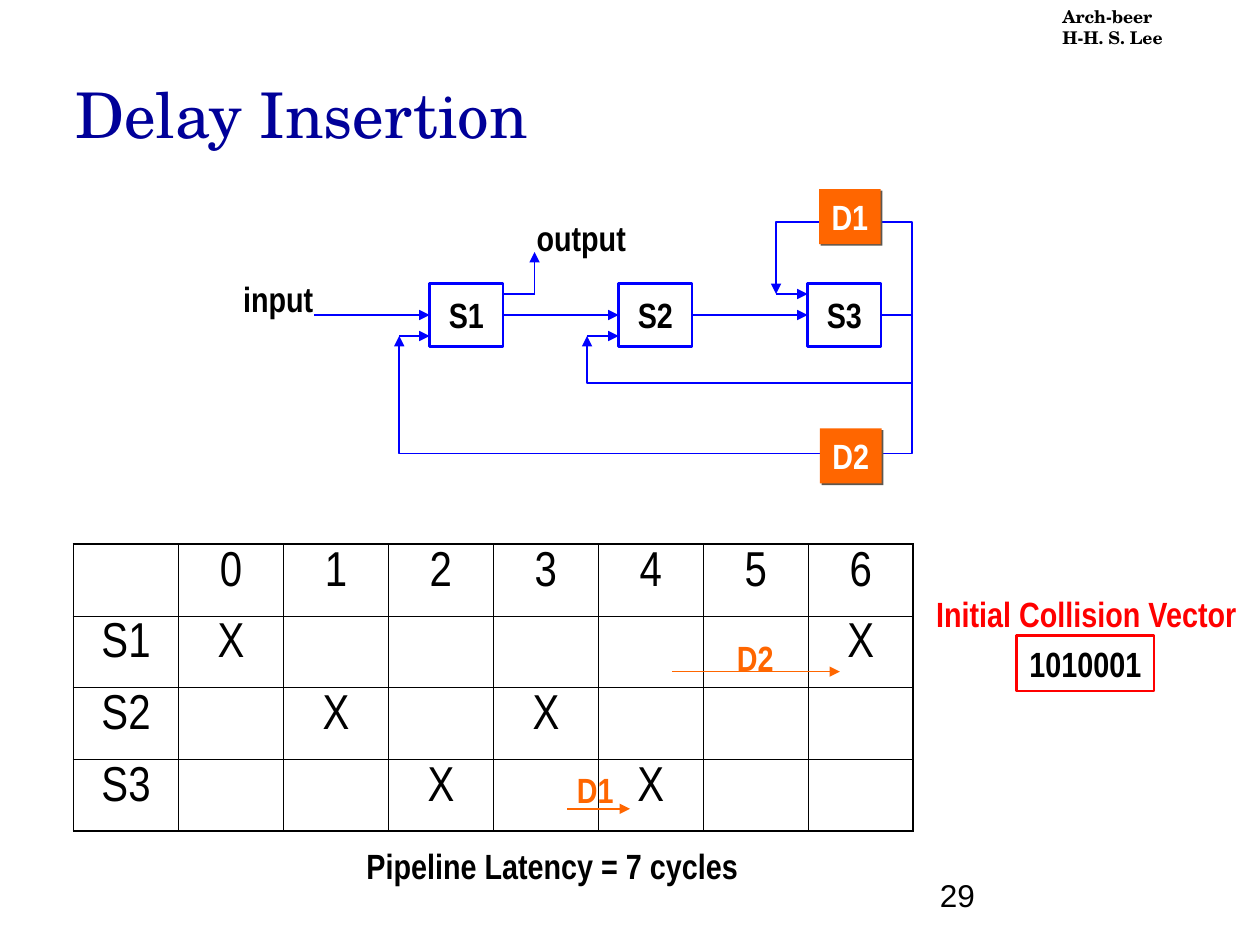
from lxml import etree
from pptx import Presentation
from pptx import util as u
from pptx.dml.color import RGBColor
from pptx.enum import shapes, text
from pptx.oxml.ns import qn

Pt = u.Pt
THEME = {
    "black": "000000", "white": "FFFFFF", "navy": "000099", "blue": "0000FF",
    "orange": "FF6600", "red": "FF0000", "shadow": "5E574E",
    "serif": "TeX Gyre Schola", "narrow": "Arial Narrow", "sans": "Arial",
    "header": 10, "title": 36, "cell": 28, "label": 20, "page": 18,
    "wire": 1, "outline": 1.5, "grid": 0.45, "frame": 1.08,
}
STAGES = ["S1", "S2", "S3"]
DELAYS = [("D1", 468, 108), ("D2", 468.5, 244.8)]
RESERVATIONS = [
    ["", "0", "1", "2", "3", "4", "5", "6"],
    ["S1", "X", "", "", "", "", "", "X"],
    ["S2", "", "X", "", "X", "", "", ""],
    ["S3", "", "", "X", "", "X", "", ""],
]
LABELS = [
    ("input", 131.8, 154.8, 54.7, "black"),
    ("output", 299.5, 120.2, 65.5, "black"),
    ("D1", 322.6, 435.6, 35.3, "orange"),
    ("D2", 414, 360, 35.3, "orange"),
    ("Pipeline Latency = 7 cycles", 202.3, 478.8, 231.1, "black"),
    ("Initial Collision Vector", 527.8, 334.8, 186.5, "red"),
]
DELAY_ARROWS = [(324, 462.2, 360), (384, 383.8, 480)]

STAGE_X, STAGE_Y, STAGE_W, STAGE_H, STAGE_STEP = 245.5, 162, 42, 36, 108
MID = STAGE_Y + STAGE_H / 2
UPPER, LOWER = MID - 12, MID + 12
BUS_X = 521.3
LABEL_H = 31.5
FEEDBACKS = [(0, 17.3, LOWER, 259.2), (1, 18, LOWER, 219), (2, 18, UPPER, 126.7)]


def rgb(name):
    return RGBColor.from_string(THEME[name])


def style(p, size, color, font="narrow", bold=True, align=None):
    p.alignment = align
    p.font.size = Pt(THEME[size])
    p.font.name = THEME[font]
    p.font.bold = bold
    p.font.color.rgb = rgb(color)


def add_text(slide, lines, box, size, color, font="narrow", bold=True,
             wrap=False, anchor=text.MSO_ANCHOR.TOP):
    tf = slide.shapes.add_textbox(*map(Pt, box)).text_frame
    tf.word_wrap = wrap
    tf.vertical_anchor = anchor
    tf.text = lines
    for p in tf.paragraphs:
        style(p, size, color, font, bold)


def add_box(slide, label, box, color, fill=None, line=None):
    sp = slide.shapes.add_shape(shapes.MSO_SHAPE.RECTANGLE, *map(Pt, box))
    sp.shadow.inherit = False
    if fill:
        sp.fill.solid()
        sp.fill.fore_color.rgb = rgb(fill)
    else:
        sp.fill.background()
    if line:
        sp.line.color.rgb = rgb(line)
        sp.line.width = Pt(THEME["outline"])
    else:
        sp.line.fill.background()
    tf = sp.text_frame
    tf.word_wrap = False
    tf.vertical_anchor = text.MSO_ANCHOR.MIDDLE
    tf.text = label
    style(tf.paragraphs[0], "label", color, align=text.PP_ALIGN.CENTER)
    return sp


def add_delay(slide, label, x, y):
    sp = add_box(slide, label, (x, y, 35.3, LABEL_H), "white", fill="orange")
    effects = sp._element.spPr.find(qn("a:effectLst"))
    shadow = etree.SubElement(effects, qn("a:outerShdw"), blurRad="0",
                              dist=str(Pt(1.4)), dir="2700000", algn="ctr", rotWithShape="0")
    etree.SubElement(shadow, qn("a:srgbClr"), val=THEME["shadow"])


def add_wire(slide, start, end, color="blue", arrow=True, kind=shapes.MSO_CONNECTOR.STRAIGHT):
    cn = slide.shapes.add_connector(kind, *map(Pt, start + end))
    cn.line.color.rgb = rgb(color)
    cn.line.width = Pt(THEME["wire"])
    if arrow:
        etree.SubElement(cn.line._get_or_add_ln(), qn("a:tailEnd"), type="triangle")
    etree.SubElement(cn._element.spPr, qn("a:effectLst"))
    return cn


def add_feedback(slide, start, end, turn_y):
    cn = add_wire(slide, start, end, kind=shapes.MSO_CONNECTOR.ELBOW)
    geom = cn._element.spPr.find(qn("a:prstGeom"))
    geom.set("prst", "bentConnector4")
    guides = geom.find(qn("a:avLst"))
    if guides is None:
        guides = etree.SubElement(geom, qn("a:avLst"))
    ratios = ((BUS_X - start[0]) / (end[0] - start[0]),
              (turn_y - start[1]) / (end[1] - start[1]))
    for i, ratio in enumerate(ratios, 1):
        etree.SubElement(guides, qn("a:gd"), name=f"adj{i}", fmla=f"val {round(ratio * 100000)}")


def set_borders(cell, outer):
    tcPr = cell._tc.get_or_add_tcPr()
    for side in "LRTB":
        width = THEME["frame" if side in outer else "grid"]
        ln = etree.SubElement(tcPr, qn(f"a:ln{side}"), w=str(Pt(width)))
        fill = etree.SubElement(ln, qn("a:solidFill"))
        etree.SubElement(fill, qn("a:srgbClr"), val=THEME["black"])


def add_reservations(slide):
    rows, cols = len(RESERVATIONS), len(RESERVATIONS[0])
    table = slide.shapes.add_table(rows, cols, Pt(42), Pt(311), Pt(60 * cols), Pt(41 * rows)).table
    table.first_row = table.horz_banding = False
    for i, row in enumerate(RESERVATIONS):
        for j, value in enumerate(row):
            cell = table.cell(i, j)
            outer = {"T": i == 0, "B": i == rows - 1, "L": j == 0, "R": j == cols - 1}
            set_borders(cell, [side for side, on in outer.items() if on])
            cell.fill.background()
            cell.text = value
            style(cell.text_frame.paragraphs[0], "cell", "black", bold=False,
                  align=text.PP_ALIGN.CENTER)


def add_pipeline(slide):
    lefts = [STAGE_X + i * STAGE_STEP for i in range(len(STAGES))]
    stages = [add_box(slide, name, (x, STAGE_Y, STAGE_W, STAGE_H), "black", line="blue")
              for name, x in zip(STAGES, lefts)]
    sources = [None] + stages[:-1]
    for source, stage, x in zip(sources, stages, lefts):
        cn = add_wire(slide, (x - STAGE_STEP + STAGE_W, MID), (x, MID))
        if source:
            cn.begin_connect(source, 3)
        cn.end_connect(stage, 1)
    for i, gap, port, turn_y in FEEDBACKS:
        corner = (lefts[i] - gap, port)
        add_feedback(slide, (lefts[-1] + STAGE_W, MID), corner, turn_y)
        add_wire(slide, corner, (lefts[i], port))
    out_x = lefts[0] + STAGE_W
    add_wire(slide, (out_x + 18, UPPER), (out_x, UPPER), arrow=False)
    add_wire(slide, (out_x + 18, UPPER), (out_x + 18, 144))
    for delay in DELAYS:
        add_delay(slide, *delay)


def main():
    prs = Presentation()
    prs.slide_width, prs.slide_height = Pt(720), Pt(540)
    s = prs.slides.add_slide(prs.slide_layouts[6])
    bottom = text.MSO_ANCHOR.BOTTOM
    add_text(s, "Arch-beer\nH-H. S. Lee", (600, 0, 120, 31.5), "header", "black",
             "serif", wrap=True)
    add_text(s, "Delay Insertion", (36, 24, 612, 66), "title", "navy",
             "serif", bold=False, wrap=True, anchor=bottom)
    add_reservations(s)
    for x, y, end_x in DELAY_ARROWS:
        add_wire(s, (x, y), (end_x, y), "orange")
    add_pipeline(s)
    for label, x, y, w, color in LABELS:
        add_text(s, label, (x, y, w, LABEL_H), "label", color)
    add_box(s, "1010001", (581, 363.3, 78.5, LABEL_H), "black", line="red")
    add_text(s, "29", (530, 490, 150, 36), "page", "black", "sans",
             bold=False, wrap=True, anchor=bottom)
    prs.save("out.pptx")


if __name__ == "__main__":
    main()
